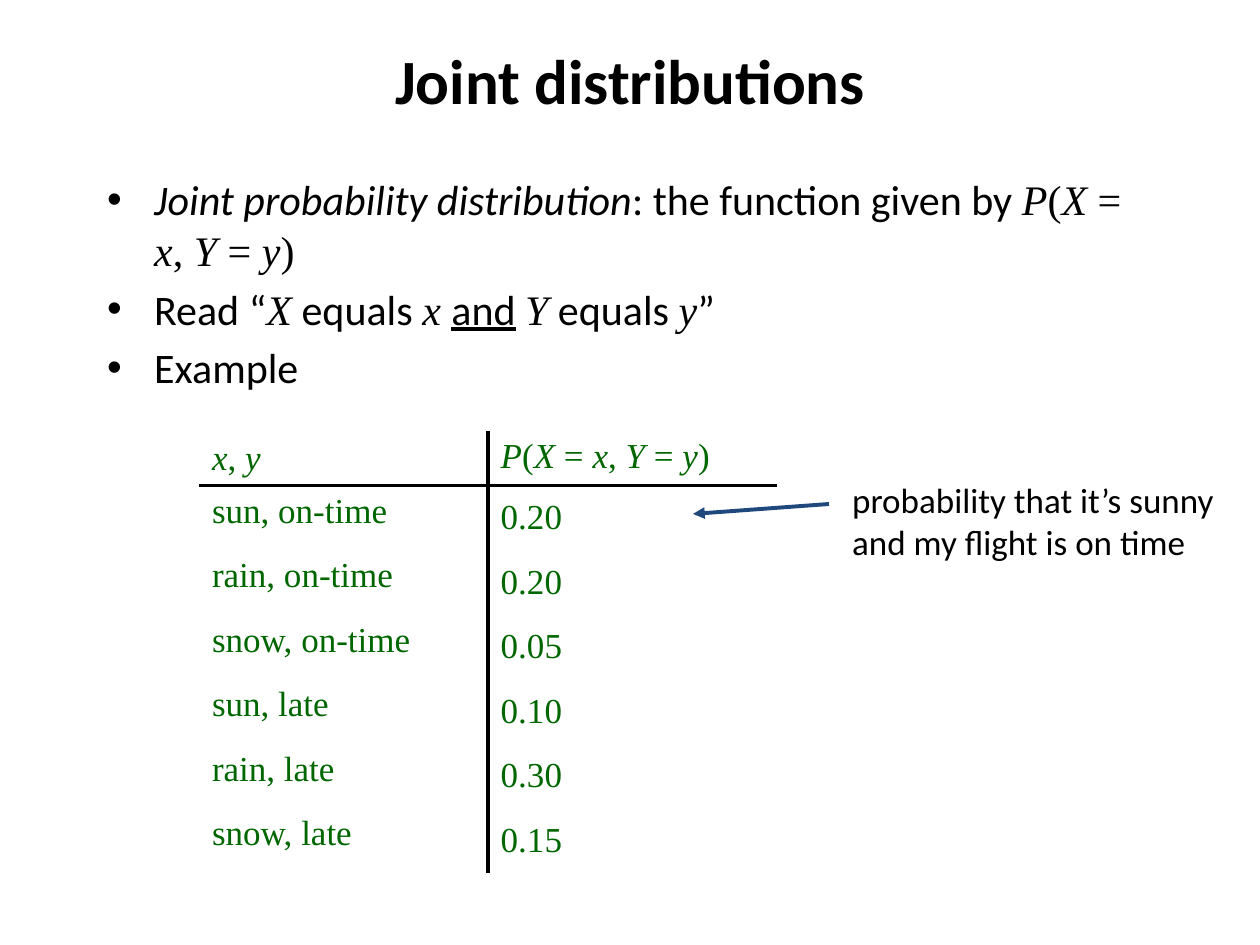
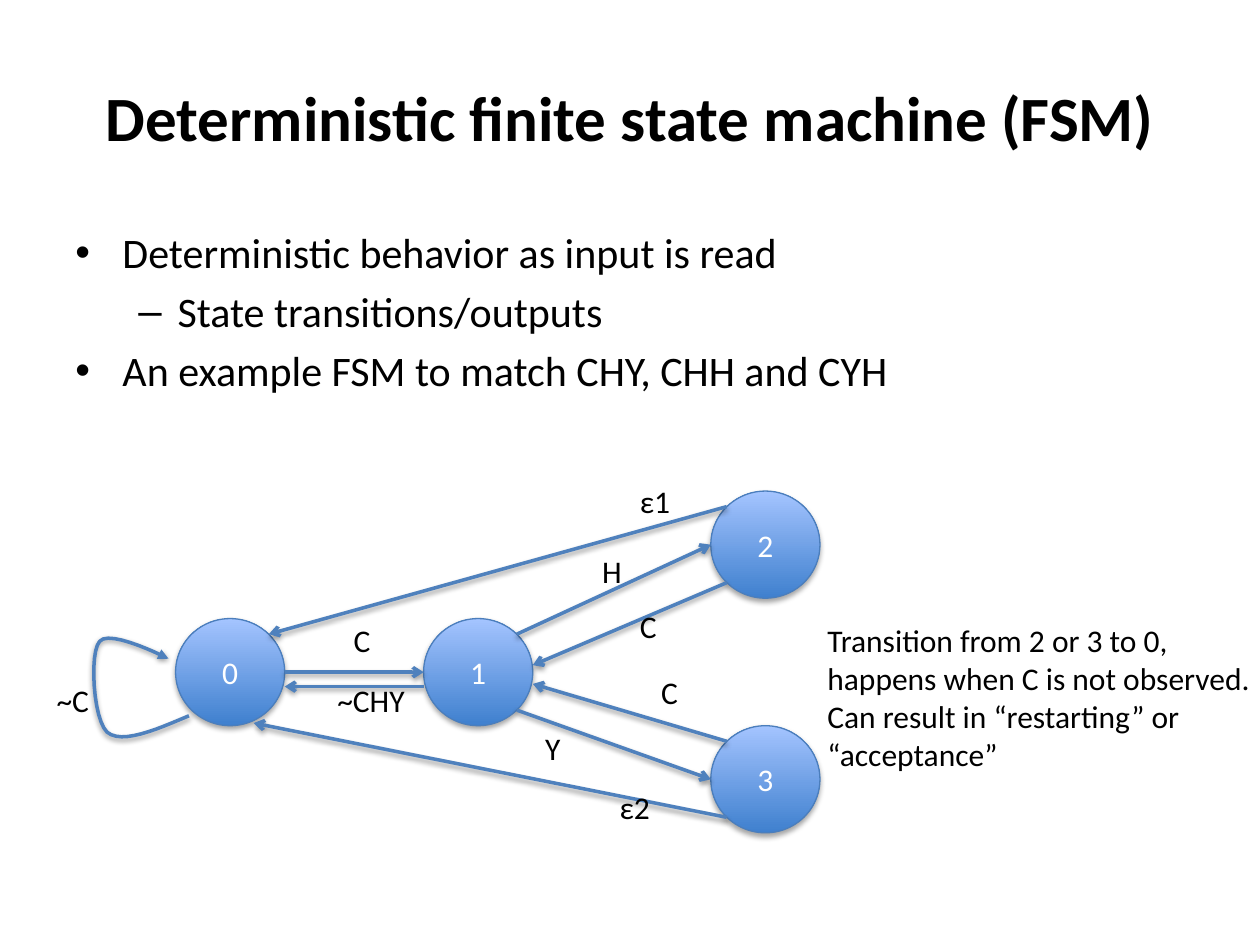
from lxml import etree
from pptx import Presentation
from pptx.dml.color import RGBColor
from pptx.enum.shapes import MSO_CONNECTOR, MSO_SHAPE
from pptx.enum.text import MSO_ANCHOR, MSO_AUTO_SIZE, PP_ALIGN
from pptx.oxml import parse_xml
from pptx.oxml.ns import nsdecls, qn
from pptx.util import Cm, Pt

COLOURS = {
    "white": "FFFFFF",
    "ink": "000000",
    "table": "006600",
    "pointer": "1F497D",
    "transition": "4F81BD",
    "state_edge": "4B7EBC",
    "state_bottom": "3F80CE",
    "state_top": "A4C4FF",
}
RGB = {name: RGBColor.from_string(value) for name, value in COLOURS.items()}
SANS, SERIF = "Calibri", "Times New Roman"


def write(frame, lines, size, colour="ink", font=SANS, bold=False, align=PP_ALIGN.LEFT):
    """Fill a frame; a line is a string or a list of (text, flags), m serif, i italic, u underlined."""
    for number, line in enumerate(lines):
        paragraph = frame.paragraphs[0] if number == 0 else frame.add_paragraph()
        paragraph.alignment = align
        pieces = [(line, "")] if isinstance(line, str) else line
        for text, flags in pieces:
            run = paragraph.add_run()
            run.text = text
            run.font.name = SERIF if "m" in flags else font
            run.font.size = Pt(size)
            run.font.bold = bold
            run.font.italic = "i" in flags
            run.font.underline = "u" in flags
            run.font.color.rgb = RGB[colour]


def finish(part, head=None, opacity=0, distance=0):
    """Give a drawn part its arrowhead and its shadow, or no shadow at zero opacity."""
    properties = part._element.spPr
    if head:
        tail = etree.SubElement(properties.find(qn("a:ln")), qn("a:tailEnd"))
        tail.set("type", head)
    effects = etree.SubElement(properties, qn("a:effectLst"))
    if opacity:
        effects.append(parse_xml(
            f'<a:outerShdw {nsdecls("a")} blurRad="{Pt(3.1)}" dist="{Pt(distance)}" '
            f'dir="5400000" rotWithShape="0"><a:srgbClr val="{COLOURS["ink"]}">'
            f'<a:alpha val="{opacity * 1000}"/></a:srgbClr></a:outerShdw>'))


prs = Presentation()
prs.slide_width, prs.slide_height = Cm(25.4), Cm(19.05)

# Titles and bullets: each body line is (level, content)
pages = [
    ("Joint distributions", (1.91, 0, 21.59, 3.18), (1.91, 3.38, 21.59, 11.43), [
        (0, [("Joint probability distribution", "i"), (": the function given by ", ""),
             ("P", "mi"), ("(", "m"), ("X ", "mi"), ("= ", "m"), ("x", "mi"), (", ", "m"),
             ("Y ", "mi"), ("= ", "m"), ("y", "mi"), (")", "m")]),
        (0, [("Read “", ""), ("X", "mi"), (" equals ", ""), ("x ", "mi"), ("and", "u"),
             (" ", ""), ("Y", "mi"), (" equals ", ""), ("y", "mi"), ("”", "")]),
        (0, "Example"),
    ]),
    ("Deterministic finite state machine (FSM)", (1.27, 0.76, 22.86, 3.18),
     (1.27, 4.45, 22.86, 12.57), [
        (0, "Deterministic behavior as input is read"),
        (1, "State transitions/outputs"),
        (0, "An example FSM to match CHY, CHH and CYH"),
    ]),
]
bullet_levels = [("•", 0.95, -0.95), ("–", 2.06, -0.79)]

slides = []
for title, title_area, body_area, body_lines in pages:
    slide = prs.slides.add_slide(prs.slide_layouts[6])
    slides.append(slide)
    slide.background.fill.solid()
    slide.background.fill.fore_color.rgb = RGB["white"]

    heading = slide.shapes.add_textbox(*map(Cm, title_area)).text_frame
    heading.word_wrap = True
    heading.vertical_anchor = MSO_ANCHOR.MIDDLE
    write(heading, [title], 36, bold=True, align=PP_ALIGN.CENTER)

    body = slide.shapes.add_textbox(*map(Cm, body_area)).text_frame
    body.word_wrap = True
    write(body, [content for _, content in body_lines], 24)
    for number, (level, _) in enumerate(body_lines):
        paragraph = body.paragraphs[number]
        paragraph.level = level
        paragraph.space_before = Pt(4.8 if number else 0)
        symbol, margin, indent = bullet_levels[level]
        settings = paragraph._p.get_or_add_pPr()
        settings.set("marL", str(Cm(margin)))
        settings.set("indent", str(Cm(indent)))
        etree.SubElement(settings, qn("a:buFont")).set("typeface", "Arial")
        etree.SubElement(settings, qn("a:buChar")).set("char", symbol)

joint, machine = slides

# Joint distribution table
outcomes = [
    ([("x", "i"), (", ", ""), ("y", "i")],
     [("P", "i"), ("(", ""), ("X", "i"), (" = ", ""), ("x", "i"), (", ", ""),
      ("Y", "i"), (" = ", ""), ("y", "i"), (")", "")]),
    ("sun, on-time", "0.20"),
    ("rain, on-time", "0.20"),
    ("snow, on-time", "0.05"),
    ("sun, late", "0.10"),
    ("rain, late", "0.30"),
    ("snow, late", "0.15"),
]
distribution = joint.shapes.add_table(
    len(outcomes), 2, Cm(4.02), Cm(8.69), Cm(11.64), Cm(8.87)).table
distribution.first_row = distribution.horz_banding = False
for column in distribution.columns:
    column.width = Cm(5.82)
for r, outcome in enumerate(outcomes):
    distribution.rows[r].height = Cm(1.3 if r else 1.07)
    for c, content in enumerate(outcome):
        cell = distribution.cell(r, c)
        cell.fill.background()
        cell.vertical_anchor = MSO_ANCHOR.TOP if (r == 0) == (c == 1) else MSO_ANCHOR.MIDDLE
        write(cell.text_frame, [content], 20, "table", SERIF)
        ruled = {"L": c == 1, "R": c == 0, "T": r == 1, "B": r == 0}
        for place, (side, drawn) in enumerate(ruled.items()):
            paint = (f'<a:solidFill><a:srgbClr val="{COLOURS["ink"]}"/></a:solidFill>'
                     if drawn else "<a:noFill/>")
            cell._tc.get_or_add_tcPr().insert(place, parse_xml(
                f'<a:ln{side} {nsdecls("a")} w="{Pt(2.25)}">{paint}</a:ln{side}>'))

pointer = joint.shapes.add_connector(
    MSO_CONNECTOR.STRAIGHT, Cm(16.71), Cm(10.16), Cm(13.97), Cm(10.36))
pointer.line.color.rgb = RGB["pointer"]
pointer.line.width = Pt(2.25)
finish(pointer, "triangle")

# States, placed by their centres
RADIUS_X, RADIUS_Y = 1.1, 1.08
centres = [(4.64, 13.55), (9.64, 13.55), (15.43, 10.98), (15.43, 15.71)]
for number, (x, y) in enumerate(centres):
    state = machine.shapes.add_shape(
        MSO_SHAPE.OVAL, Cm(x - RADIUS_X), Cm(y - RADIUS_Y), Cm(2 * RADIUS_X), Cm(2 * RADIUS_Y))
    state.fill.gradient()
    state.fill.gradient_angle = 90
    for stop, position, name in zip(state.fill.gradient_stops, (0, 1),
                                    ("state_bottom", "state_top")):
        stop.position = position
        stop.color.rgb = RGB[name]
    state.line.color.rgb = RGB["state_edge"]
    state.line.width = Pt(0.75)
    finish(state, opacity=35, distance=1.8)
    state.text_frame.vertical_anchor = MSO_ANCHOR.MIDDLE
    write(state.text_frame, [str(number)], 18, "white", align=PP_ALIGN.CENTER)

# Transitions: from state, to state, each with its offset from the centre in radii
D = 0.71
transitions = [
    (0, (1, 0), 1, (-1, 0)),
    (1, (D, -D), 2, (-1, 0)),
    (1, (D, D), 3, (-1, 0)),
    (2, (-D, -D), 0, (D, -D)),
    (3, (-D, D), 0, (0.43, 0.95)),
    (2, (-D, D), 1, (1, -0.13)),
    (3, (-D, -D), 1, (1, 0.22)),
    (1, (-1, 0.27), 0, (1, 0.27)),
]
arrows = []
for source, leave, target, arrive in transitions:
    ends = [Cm(centre + radius * shift)
            for number, offset in ((source, leave), (target, arrive))
            for centre, radius, shift in zip(centres[number], (RADIUS_X, RADIUS_Y), offset)]
    arrows.append((machine.shapes.add_connector(MSO_CONNECTOR.STRAIGHT, *ends), "arrow"))

# Loop of state 0, sampled along Bezier curves
loop_start = (3.81, 14.43)
loop_curves = [
    ((3.15, 14.71), (2.46, 15.01), (2.16, 14.76)),
    ((1.88, 14.5), (1.8, 13.16), (2.01, 12.93)),
    ((2.21, 12.67), (3.4, 13.28), (3.4, 13.28)),
]
STEPS = 12
loop_points = []
here = loop_start
for first, second, end in loop_curves:
    for step in range(1, STEPS + 1):
        t = step / STEPS
        weights = ((1 - t) ** 3, 3 * t * (1 - t) ** 2, 3 * t ** 2 * (1 - t), t ** 3)
        loop_points.append(tuple(
            Cm(sum(w * value for w, value in zip(weights, axis)))
            for axis in zip(here, first, second, end)))
    here = end
outline = machine.shapes.build_freeform(*map(Cm, loop_start))
outline.add_line_segments(loop_points, close=False)
self_loop = outline.convert_to_shape()
self_loop.fill.background()
arrows.append((self_loop, "triangle"))

for arrow, head in arrows:
    arrow.line.color.rgb = RGB["transition"]
    arrow.line.width = Pt(2)
    finish(arrow, head, opacity=38, distance=1.6)

# Labels and remarks
captions = [
    (joint, 20, (16.93, 9.53, 7.95, 1.96),
     ["probability that it’s sunny", "and my flight is on time"]),
    (machine, 18, (6.88, 12.4, 0.86, 1.02), ["C"]),
    (machine, 18, (11.89, 11, 0.91, 1.02), ["H"]),
    (machine, 18, (10.74, 14.58, 0.84, 1.02), ["Y"]),
    (machine, 18, (12.65, 12.12, 0.86, 1.02), ["C"]),
    (machine, 18, (13.08, 13.44, 0.86, 1.02), ["C"]),
    (machine, 18, (0.89, 13.61, 1.19, 1.02), ["~C"]),
    (machine, 18, (6.55, 13.61, 1.91, 1.02), ["~CHY"]),
    (machine, 18, (12.65, 9.6, 1.12, 1.02), ["ε1"]),
    (machine, 18, (12.24, 15.77, 1.27, 1.02), ["ε2"]),
    (machine, 18, (16.43, 12.4, 9.12, 3.33),
     ["Transition from 2 or 3 to 0,", "happens when C is not observed.",
      "Can result in “restarting” or", "“acceptance”"]),
]
for slide, size, area, lines in captions:
    caption = slide.shapes.add_textbox(*map(Cm, area)).text_frame
    caption.word_wrap = False
    caption.auto_size = MSO_AUTO_SIZE.SHAPE_TO_FIT_TEXT
    write(caption, lines, size)

prs.save("out.pptx")
